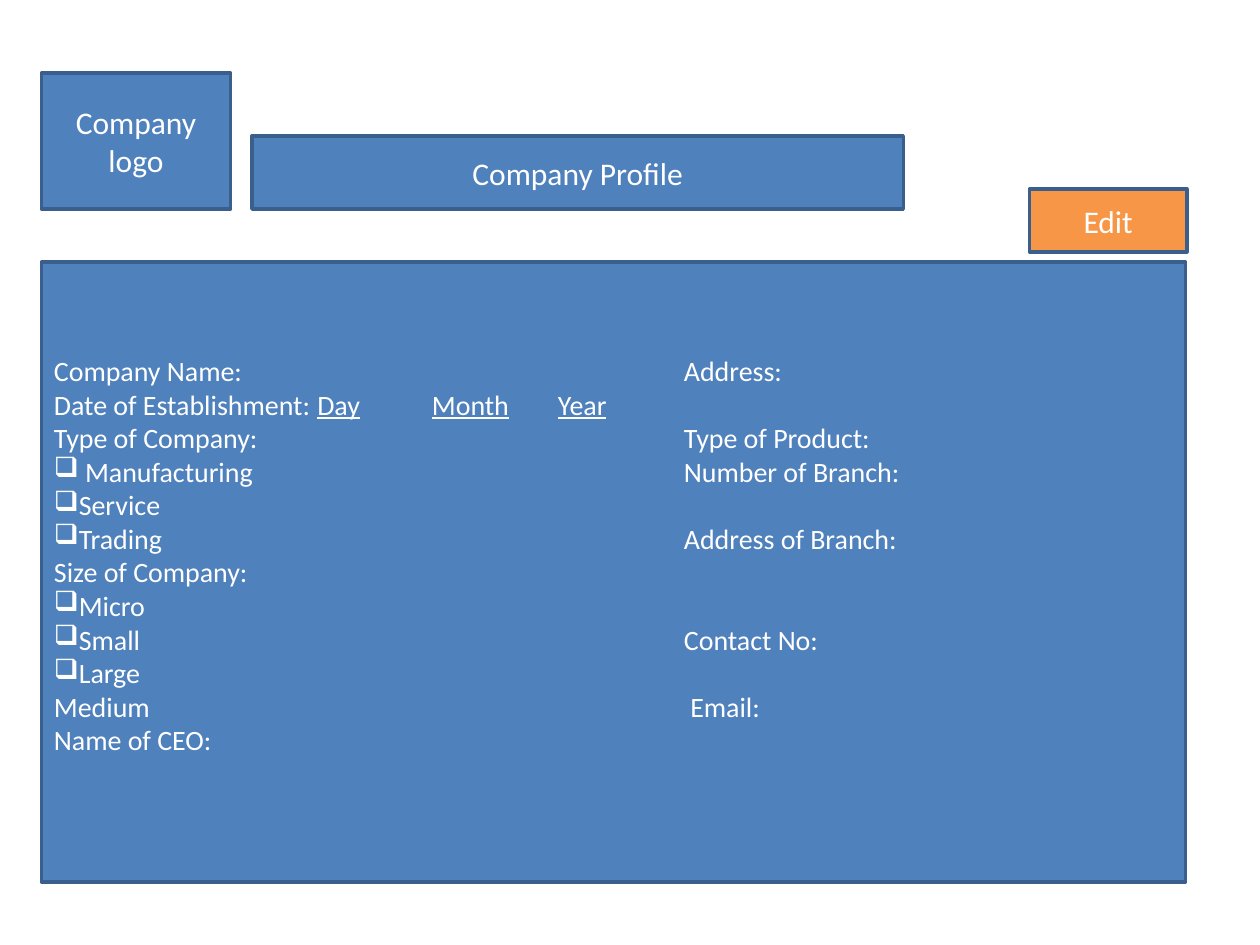
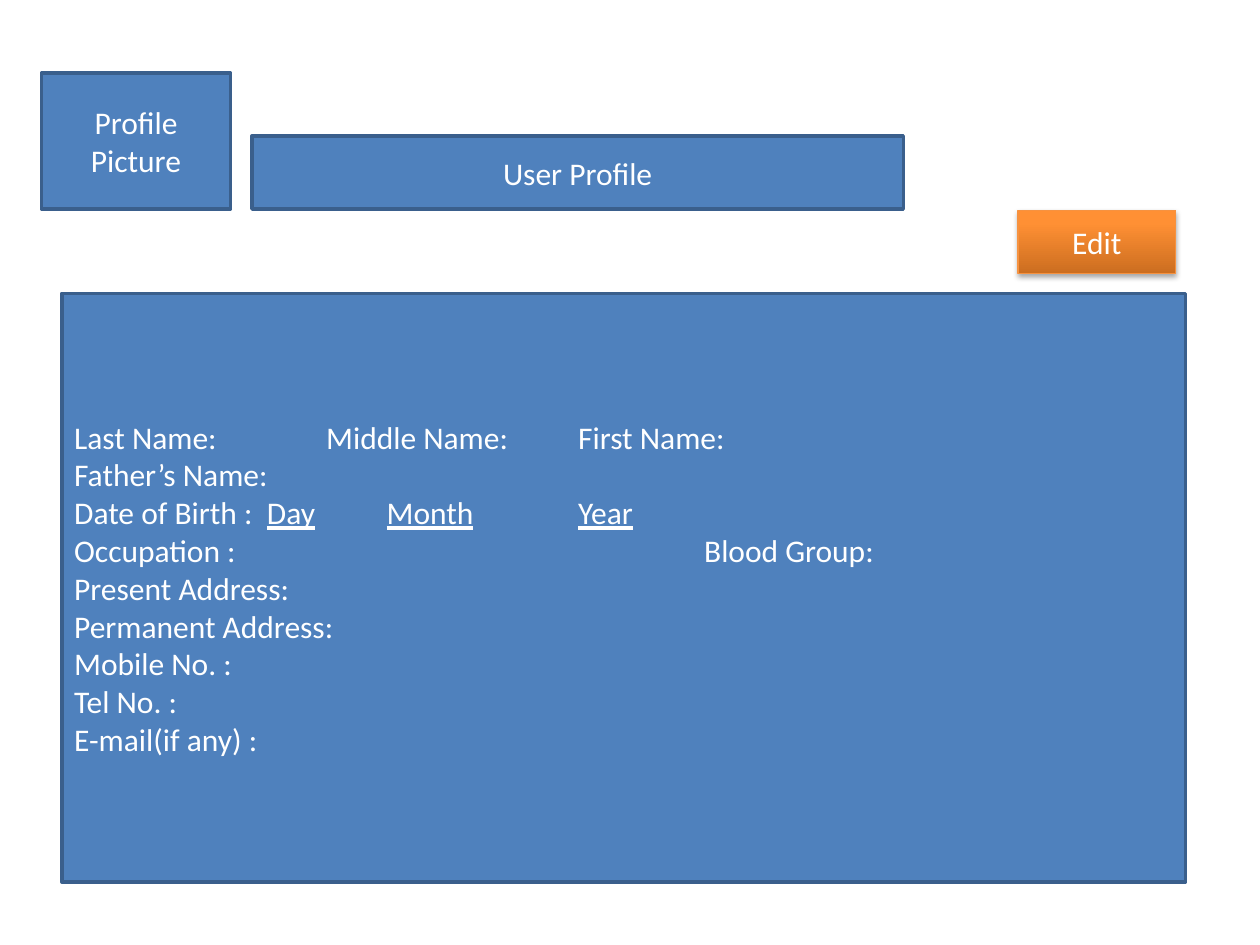
from copy import deepcopy

from pptx import Presentation
from pptx.dml.color import RGBColor
from pptx.enum.shapes import MSO_SHAPE
from pptx.enum.text import MSO_ANCHOR, PP_ALIGN
from pptx.oxml import parse_xml
from pptx.oxml.ns import nsdecls, qn
from pptx.util import Inches, Pt

RECTANGLE = MSO_SHAPE.RECTANGLE
MIDDLE = MSO_ANCHOR.MIDDLE
LEFT, CENTER = PP_ALIGN.LEFT, PP_ALIGN.CENTER

FONT = "Calibri"
COLORS = {
    "blue": "4F81BD",
    "border": "3A5F8C",
    "orange": "F79646",
    "glossy_border": "F69240",
    "white": "FFFFFF",
    "shadow": "000000",
}
GLOSSY_STOPS = [(0, "CC6E20"), (0.8, "FF9034"), (1, "FF9136")]
DATE_PARTS = {"Day", "Month", "Year"}
CHECKBOX = "❑"

# Each form line: its cells, the tab stops (inches) between them, and whether it has a checkbox.
COMPANY_FIELDS = [
    (["Company Name:", "Address:"], [5], False),
    (["Date of Establishment:", "Day", "Month", "Year"], [2.09, 3, 4], False),
    (["Type of Company:", "Type of Product:"], [5], False),
    ([" Manufacturing", "Number of Branch:"], [5], True),
    (["Service"], [], True),
    (["Trading", "Address of Branch:"], [5], True),
    (["Size of Company:"], [], False),
    (["Micro"], [], True),
    (["Small", "Contact No:"], [5], True),
    (["Large"], [], True),
    (["Medium", " Email:"], [5], False),
    (["Name of CEO:"], [], False),
]
USER_FIELDS = [
    (["Last Name:", "Middle Name:", "First Name:"], [2, 4], False),
    (["Father’s Name:"], [], False),
    (["Date of Birth :", "Day", "Month", "Year"], [1.53, 2.48, 4], False),
    (["Occupation :", "Blood Group:"], [5], False),
    (["Present Address:"], [], False),
    (["Permanent Address:"], [], False),
    (["Mobile No. :"], [], False),
    (["Tel No. :"], [], False),
    (["E-mail(if any) :"], [], False),
]


def rgb(name):
    return RGBColor.from_string(COLORS[name])


def style_paragraph(paragraph, size, alignment):
    paragraph.alignment = alignment
    paragraph.font.name = FONT
    paragraph.font.size = Pt(size)
    paragraph.font.color.rgb = rgb("white")


def add_box(slide, left, top, width, height, fill="blue"):
    shape = slide.shapes.add_shape(
        RECTANGLE, Inches(left), Inches(top), Inches(width), Inches(height))
    shape.shadow.inherit = False
    shape.fill.solid()
    shape.fill.fore_color.rgb = rgb(fill)
    shape.line.color.rgb = rgb("border")
    shape.line.width = Pt(2)
    shape.text_frame.word_wrap = True
    shape.text_frame.vertical_anchor = MIDDLE
    return shape


def add_label(slide, text, left, top, width, height, fill="blue"):
    shape = add_box(slide, left, top, width, height, fill)
    paragraph = shape.text_frame.paragraphs[0]
    paragraph.text = text
    style_paragraph(paragraph, 18, CENTER)
    return shape


def make_glossy(shape):
    """Give a button a vertical orange gradient, a thin border and a soft shadow."""
    shape.fill.gradient()
    shape.fill.gradient_angle = 90
    properties = shape._element.spPr
    stop_list = properties.find(qn("a:gradFill")).find(qn("a:gsLst"))
    stop_list.append(deepcopy(stop_list[-1]))
    for stop, (position, color) in zip(shape.fill.gradient_stops, GLOSSY_STOPS):
        stop.position = position
        stop.color.rgb = RGBColor.from_string(color)
    shape.line.color.rgb = rgb("glossy_border")
    shape.line.width = Pt(0.75)
    properties.find(qn("a:effectLst")).append(parse_xml(
        f'<a:outerShdw {nsdecls("a")} blurRad="{Pt(3.1)}" dist="{Pt(1.8)}" '
        f'dir="5400000" rotWithShape="0"><a:srgbClr val="{COLORS["shadow"]}">'
        '<a:alpha val="35000"/></a:srgbClr></a:outerShdw>'))


def set_bullet_and_tabs(paragraph, checkbox, tab_stops):
    properties = paragraph._p.get_or_add_pPr()
    elements = []
    if checkbox:
        elements.append(f'<a:buChar {nsdecls("a")} char="{CHECKBOX}"/>')
    if tab_stops:
        tabs = "".join(f'<a:tab pos="{Inches(stop)}" algn="l"/>' for stop in tab_stops)
        elements.append(f'<a:tabLst {nsdecls("a")}>{tabs}</a:tabLst>')
    for position, element in enumerate(elements):
        properties.insert(position, parse_xml(element))


def add_form(slide, fields, size, left, top, width, height):
    """Add a panel of form lines and return its text frame."""
    text_frame = add_box(slide, left, top, width, height).text_frame
    for index, (cells, tab_stops, checkbox) in enumerate(fields):
        paragraph = text_frame.add_paragraph() if index else text_frame.paragraphs[0]
        for position, cell in enumerate(cells):
            if position:
                paragraph.add_run().text = "\t"
            run = paragraph.add_run()
            run.text = cell
            if cell in DATE_PARTS:
                run.font.underline = True
        set_bullet_and_tabs(paragraph, checkbox, tab_stops)
        style_paragraph(paragraph, size, LEFT)
    return text_frame


def add_profile_slide(presentation, image_label, title):
    slide = presentation.slides.add_slide(presentation.slide_layouts[6])
    add_label(slide, image_label, 0.33, 0.58, 1.5, 1.08)
    add_label(slide, title, 2, 1.08, 5.17, 0.58)
    return slide


def add_edit_button(slide, left, top):
    return add_label(slide, "Edit", left, top, 1.25, 0.5, "orange")


def main():
    presentation = Presentation()
    presentation.slide_width = Inches(10)
    presentation.slide_height = Inches(7.5)

    company = add_profile_slide(presentation, "Company logo", "Company Profile")
    company_form = add_form(company, COMPANY_FIELDS, 16, 0.33, 2.08, 9.08, 4.92)
    company_form.margin_bottom = Inches(0.32)
    add_edit_button(company, 8.17, 1.5)

    user = add_profile_slide(presentation, "Profile Picture", "User Profile")
    make_glossy(add_edit_button(user, 8.08, 1.67))
    add_form(user, USER_FIELDS, 18, 0.49, 2.33, 8.92, 4.67)

    presentation.save("out.pptx")


if __name__ == "__main__":
    main()
